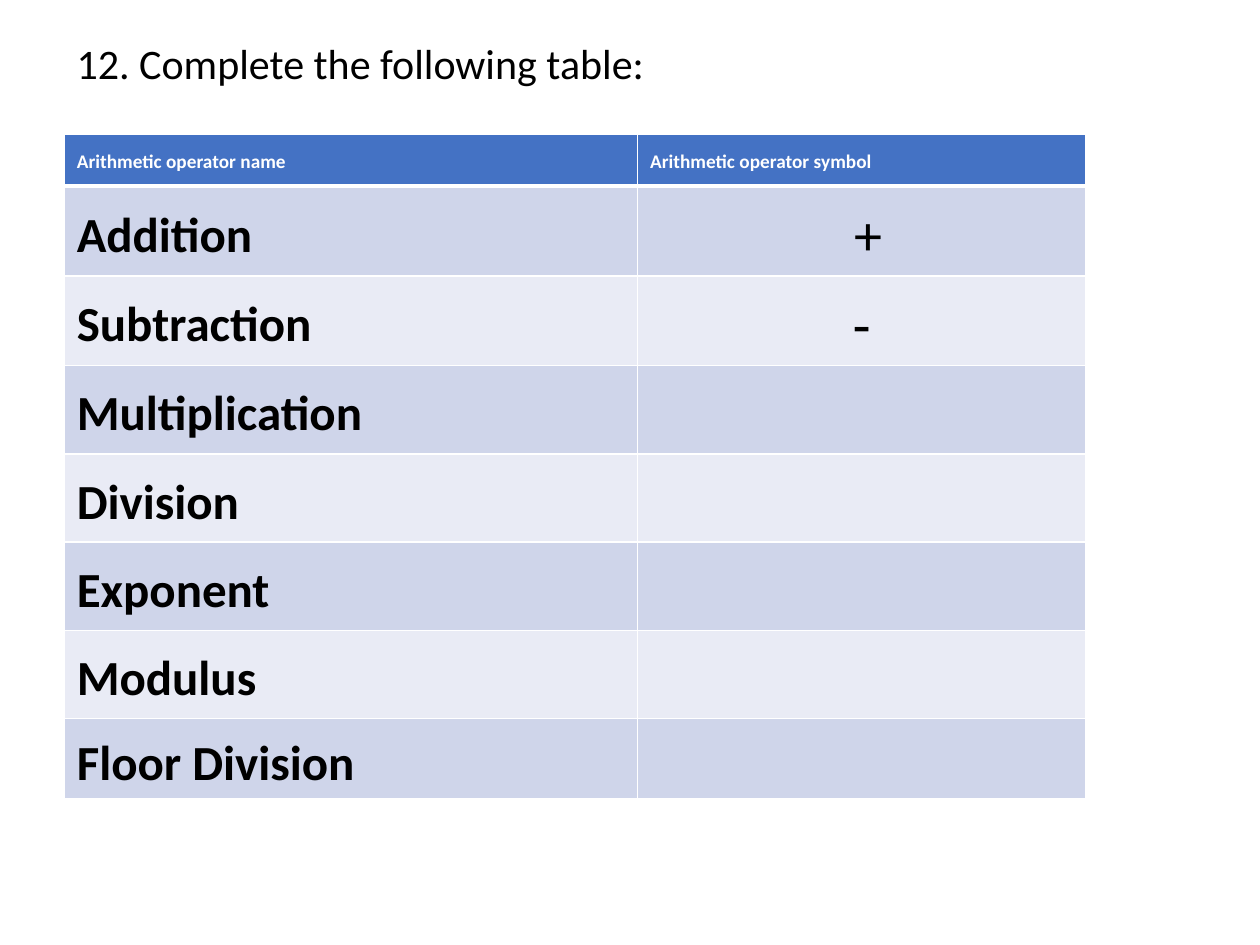
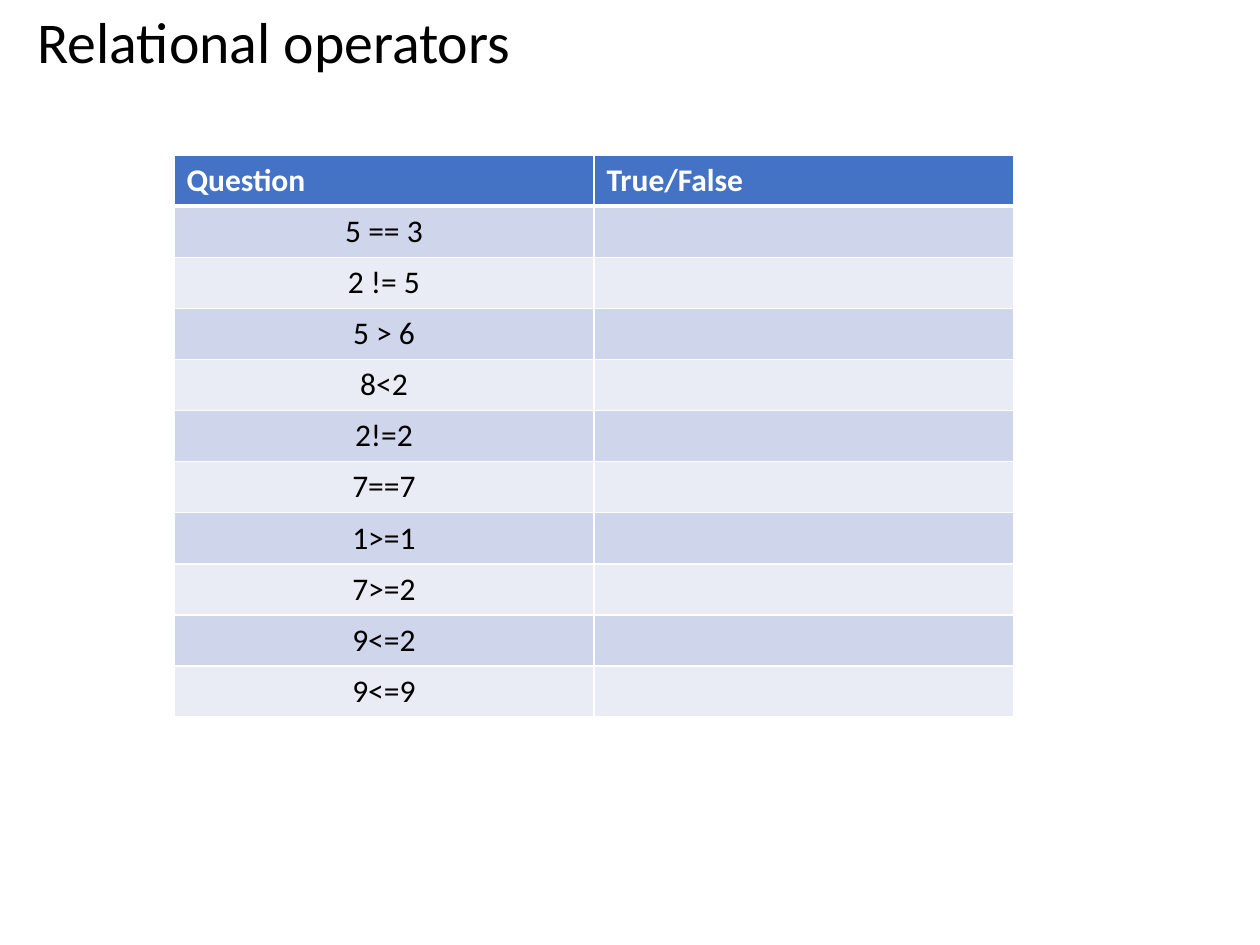
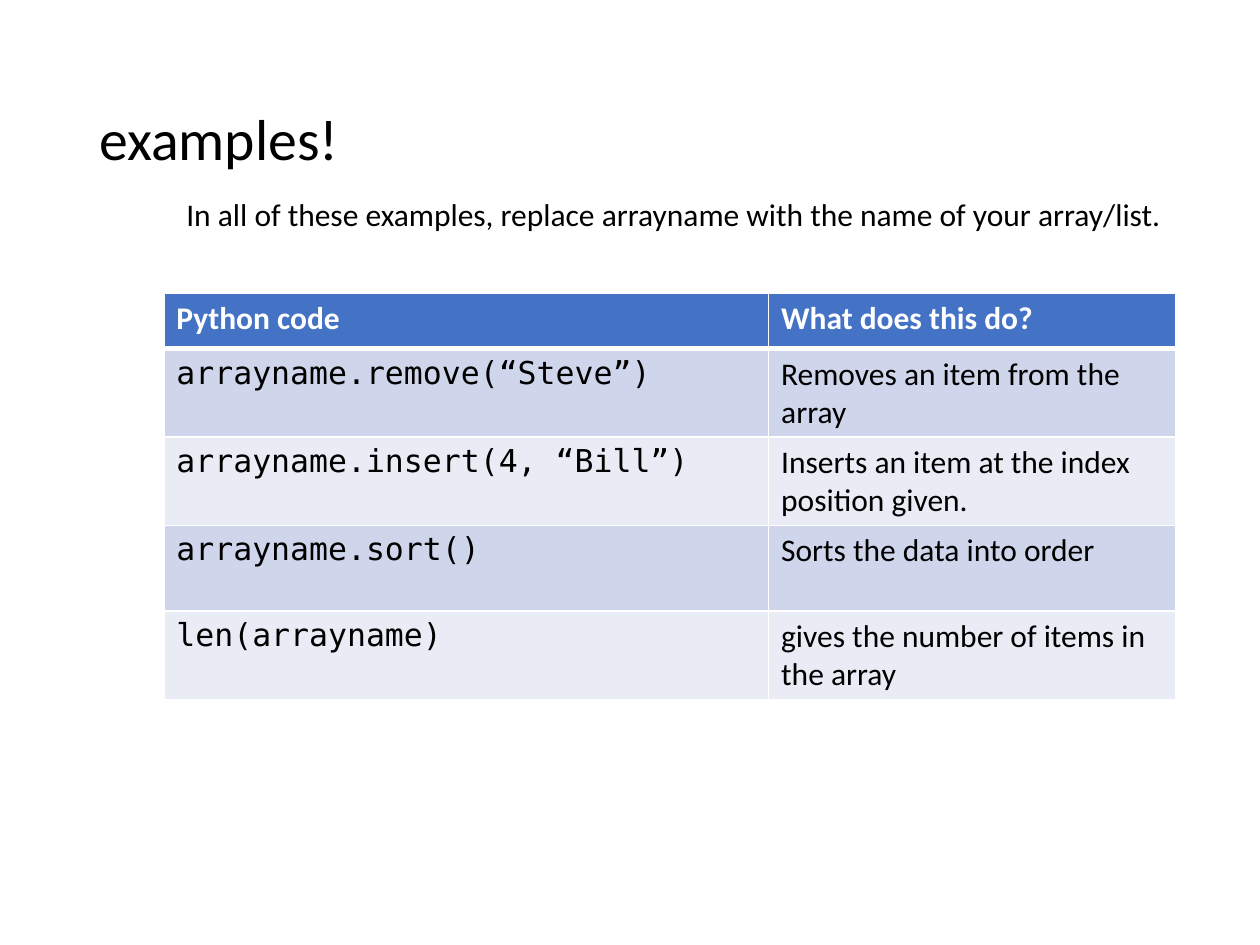
from lxml import etree
from pptx import Presentation
from pptx.dml.color import RGBColor
from pptx.enum import text as tx
from pptx.oxml.ns import qn
from pptx.util import Pt

BLACK, WHITE, HEAD = "000000", "FFFFFF", "4472C4"
BANDS = ["CFD5EA", "E9EBF5"]
SANS, MONO = "Calibri", "DejaVu Sans Mono"
MID, MARK = tx.MSO_ANCHOR.MIDDLE, tx.PP_ALIGN.CENTER

NAME = {"size": 28, "bold": True}
CODE = {"name": MONO}
TITLE = {"size": 33, "space": 0.9, "anchor": MID}

# Each box: left, top, width, height, words, format
# Each table: place, column widths, row heights, formats of head and columns, rows
SLIDES = [
    {
        "boxes": [(36.7, 20.9, 648, 356.4, "12. Complete the following table:",
                   {"size": 24, "space": 0.9})],
        "at": (36.7, 77), "cols": [327.6, 256.3],
        "rows": [29.2] + [50.4] * 6 + [29.2],
        "head": {"size": 11},
        "body": [NAME, {"size": 32, "align": MARK}],
        "all": {"space": 1.15, "anchor": MID},
        "cells": [
            ("Arithmetic operator name", "Arithmetic operator symbol"),
            ("Addition", " +"),
            ("Subtraction", ("-", {"name": "Arial"})),
            ("Multiplication", ""),
            ("Division", ""),
            ("Exponent", ""),
            ("Modulus", ""),
            ("Floor Division", ""),
        ],
    },
    {
        "boxes": [(14.4, -19.4, 648, 90, "Relational operators", TITLE)],
        "at": (99.4, 88.6), "cols": [240, 240], "rows": [29.2] * 11,
        "head": {}, "body": [{"align": MARK}, {}], "all": {},
        "cells": [("Question", "True/False")] + [(quiz, "") for quiz in (
            "5 == 3", "2 != 5", "5 > 6", "8<2", "2!=2",
            "7==7", "1>=1", "7>=2", "9<=2", "9<=9")],
    },
    {
        "boxes": [
            (49.7, 28.8, 620.6, 104.4, "examples!", TITLE),
            (99.4, 108, 583.9, 29.1, "In all of these examples, replace "
             "arrayname with the name of your array/list.", {}),
        ],
        "at": (93.6, 167.8), "cols": [345.6, 232.6],
        "rows": [31.5] + [49] * 4,
        "head": {}, "body": [CODE, {}], "all": {},
        "cells": [
            ("Python code", "What does this do?"),
            ("arrayname.remove(“Steve”)", "Removes an item from the array"),
            ("arrayname.insert(4, “Bill”)",
             "Inserts an item at the index position given."),
            ("arrayname.sort()", "Sorts the data into order"),
            ("len(arrayname)", "gives the number of items in the array"),
        ],
    },
]


def tint(code):
    return RGBColor.from_string(code)


def write(frame, words, style):
    """Fill a text frame with one paragraph in the given format."""
    look = {"name": SANS, "size": 18, "bold": False, "color": BLACK, **style}
    para = frame.paragraphs[0]
    if "space" in look:
        para.line_spacing = look["space"]
    if "align" in look:
        para.alignment = look["align"]
    if not words:
        return
    font = para.add_run().font
    para.runs[0].text = words
    for key, val in {"name": look["name"], "size": Pt(look["size"]),
                     "bold": look["bold"]}.items():
        setattr(font, key, val)
    font.color.rgb = tint(look["color"])


def edge(cell, row):
    """Rule a cell in white, thicker between the head and the body."""
    props = cell._tc.get_or_add_tcPr()
    wide = {"lnT": 3 if row == 1 else 1, "lnB": 3 if row == 0 else 1}
    for spot, side in enumerate(("lnL", "lnR", "lnT", "lnB")):
        line = etree.Element(qn(f"a:{side}"), w=str(Pt(wide.get(side, 1))))
        fill = etree.SubElement(line, qn("a:solidFill"))
        etree.SubElement(fill, qn("a:srgbClr"), val=WHITE)
        props.insert(spot, line)


def add_box(slide, left, top, width, height, words, style):
    box = slide.shapes.add_textbox(*map(Pt, (left, top, width, height)))
    box.text_frame.word_wrap = True
    box.text_frame.vertical_anchor = style.get("anchor", tx.MSO_ANCHOR.TOP)
    write(box.text_frame, words, style)


def add_grid(slide, page):
    cols, rows = page["cols"], page["rows"]
    size = (*page["at"], sum(cols), sum(rows))
    grid = slide.shapes.add_table(len(rows), len(cols), *map(Pt, size)).table
    for col, width in zip(grid.columns, cols):
        col.width = Pt(width)
    for row, height in zip(grid.rows, rows):
        row.height = Pt(height)
    head = {"bold": True, "color": WHITE, **page["head"]}
    for r, line in enumerate(page["cells"]):
        for c, item in enumerate(line):
            words, extra = item if isinstance(item, tuple) else (item, {})
            style = {**page["all"], **(page["body"][c] if r else head), **extra}
            cell = grid.cell(r, c)
            cell.fill.solid()
            cell.fill.fore_color.rgb = tint(BANDS[(r - 1) % 2] if r else HEAD)
            cell.vertical_anchor = style.get("anchor", tx.MSO_ANCHOR.TOP)
            write(cell.text_frame, words, style)
            edge(cell, r)


def main():
    deck = Presentation()
    deck.slide_width, deck.slide_height = Pt(720), Pt(540)
    for page in SLIDES:
        slide = deck.slides.add_slide(deck.slide_layouts[6])
        for box in page["boxes"]:
            add_box(slide, *box)
        add_grid(slide, page)
    deck.save("out.pptx")


if __name__ == "__main__":
    main()
